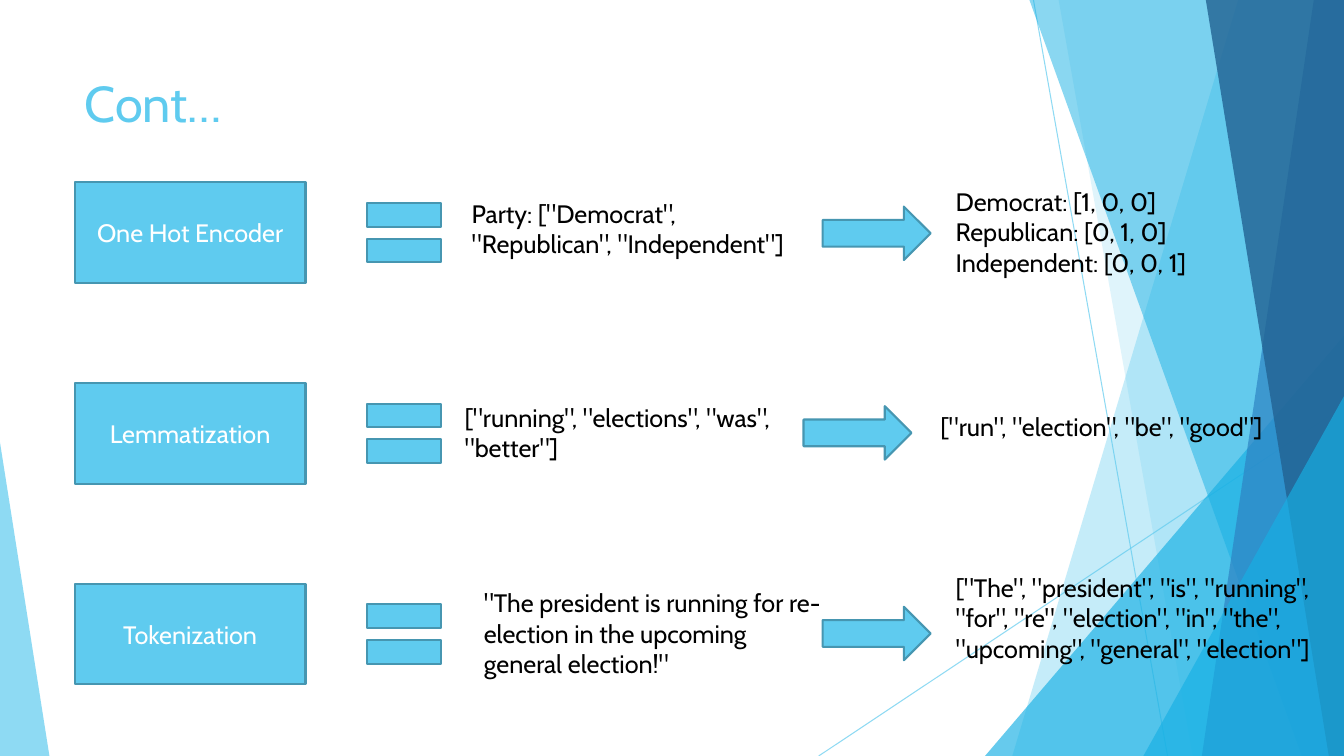
from dataclasses import dataclass

from pptx import Presentation
from pptx.dml.color import RGBColor as Color
from pptx.enum.shapes import MSO_CONNECTOR as Connector, MSO_SHAPE as Shape
from pptx.enum.text import MSO_ANCHOR as Anchor, MSO_AUTO_SIZE as AutoSize, PP_ALIGN as Align
from pptx.oxml.ns import qn
from pptx.util import Pt
from lxml.etree import SubElement

PX = 9144
WIDTH, HEIGHT = 1333, 750


@dataclass(frozen=True)
class Theme:
    font: str = "Cabin"
    sky: str = "5FCBEF"
    azure: str = "17B0E4"
    blue: str = "2E83C3"
    navy: str = "226292"
    edge: str = "4696B1"
    text: str = "000000"
    light: str = "FFFFFF"
    title_size: int = 36
    body_size: int = 18


THEME = Theme()

FACETS = [
    ([(1228, 0), (WIDTH, 0), (WIDTH, HEIGHT), (1004, HEIGHT)], THEME.sky, 36),
    ([(1050, 0), (WIDTH, 0), (WIDTH, HEIGHT), (1183, HEIGHT)], THEME.sky, 20),
    ([(WIDTH, 333), (WIDTH, HEIGHT), (977, HEIGHT)], THEME.azure, 66),
    ([(1021, 0), (WIDTH, 0), (WIDTH, HEIGHT), (1291, HEIGHT)], THEME.azure, 50),
    ([(1303, 0), (WIDTH, 0), (WIDTH, HEIGHT), (1192, HEIGHT)], THEME.blue, 70),
    ([(1196, 0), (WIDTH, 0), (WIDTH, HEIGHT), (1318, HEIGHT)], THEME.navy, 80),
    ([(WIDTH, 393), (WIDTH, HEIGHT), (1134, HEIGHT)], THEME.azure, 66),
    ([(0, 439), (49, HEIGHT), (0, HEIGHT)], THEME.sky, 70),
]

STEPS = [
    ("One Hot Encoder",
     'Party: ["Democrat", "Republican", "Independent"]', (458, 192, 359, 71),
     (816, 205),
     ["Democrat: [1, 0, 0]", "Republican: [0, 1, 0]", "Independent: [0, 0, 1]"],
     (938, 180, 397, 101)),
    ("Lemmatization",
     '["running", "elections", "was", "better"]', (451, 394, 359, 71),
     (797, 403),
     ['["run", "election", "be", "good"]'], (923, 403, 397, 40)),
    ("Tokenization",
     '"The president is running for re-election in the upcoming general election!"',
     (470, 578, 359, 101),
     (816, 602),
     ['["The", "president", "is", "running", "for", "re", "election", "in", "the", '
      '"upcoming", "general", "election"]'], (938, 563, 397, 131)),
]


def emu(*lengths):
    return [length * PX for length in lengths]


def set_opacity(shape, percent):
    for color in shape._element.spPr.iter(qn("a:srgbClr")):
        SubElement(color, qn("a:alpha")).set("val", str(percent * 1000))


def format_paragraph(paragraph, size, color, alignment=Align.LEFT):
    paragraph.alignment = alignment
    paragraph.font.name = THEME.font
    paragraph.font.size = Pt(size)
    paragraph.font.color.rgb = Color.from_string(color)


def add_facet(slide, points, color, opacity):
    builder = slide.shapes.build_freeform(*points[0], scale=PX)
    builder.add_line_segments(points[1:], close=True)
    facet = builder.convert_to_shape()
    facet.shadow.inherit = False
    facet.fill.solid()
    facet.fill.fore_color.rgb = Color.from_string(color)
    facet.line.fill.background()
    set_opacity(facet, opacity)


def add_ray(slide, start, end):
    ray = slide.shapes.add_connector(Connector.STRAIGHT, *emu(*start, *end))
    ray.line.color.rgb = Color.from_string(THEME.sky)
    ray.line.width = Pt(0.75)
    set_opacity(ray, 70)
    SubElement(ray._element.spPr, qn("a:effectLst"))


def add_block(slide, kind, box, label=None):
    block = slide.shapes.add_shape(kind, *emu(*box))
    block.shadow.inherit = False
    block.fill.solid()
    block.fill.fore_color.rgb = Color.from_string(THEME.sky)
    block.line.color.rgb = Color.from_string(THEME.edge)
    block.line.width = Pt(1.5)
    if label:
        frame = block.text_frame
        frame.text = label
        frame.vertical_anchor = Anchor.MIDDLE
        format_paragraph(frame.paragraphs[0], THEME.body_size, THEME.light, Align.CENTER)


def add_text(slide, lines, box):
    frame = slide.shapes.add_textbox(*emu(*box)).text_frame
    frame.word_wrap = True
    frame.auto_size = AutoSize.SHAPE_TO_FIT_TEXT
    frame.text = "\n".join(lines)
    for paragraph in frame.paragraphs:
        format_paragraph(paragraph, THEME.body_size, THEME.text)


def set_title(slide, text, box):
    title = slide.shapes.title
    title.left, title.top, title.width, title.height = emu(*box)
    frame = title.text_frame
    frame.text = text
    frame.auto_size = AutoSize.NONE
    frame.vertical_anchor = Anchor.TOP
    format_paragraph(frame.paragraphs[0], THEME.title_size, THEME.sky)


def main():
    presentation = Presentation()
    presentation.slide_width, presentation.slide_height = emu(WIDTH, HEIGHT)
    slide = presentation.slides.add_slide(presentation.slide_layouts[5])

    add_ray(slide, (1025, 0), (1158, HEIGHT))
    add_ray(slide, (WIDTH, 403), (812, HEIGHT))
    for points, color, opacity in FACETS:
        add_facet(slide, points, color, opacity)

    set_title(slide, "Cont…", (74, 67, 940, 144))
    for index, (name, sample, sample_box, arrow, result, result_box) in enumerate(STEPS):
        top = 181 + 199 * index
        add_block(slide, Shape.RECTANGLE, (74, top, 229, 100), name)
        add_block(slide, Shape.MATH_EQUAL, (351, top, 100, 100))
        add_text(slide, [sample], sample_box)
        add_block(slide, Shape.RIGHT_ARROW, (*arrow, 107, 53))
        add_text(slide, result, result_box)

    presentation.save("out.pptx")


if __name__ == "__main__":
    main()
